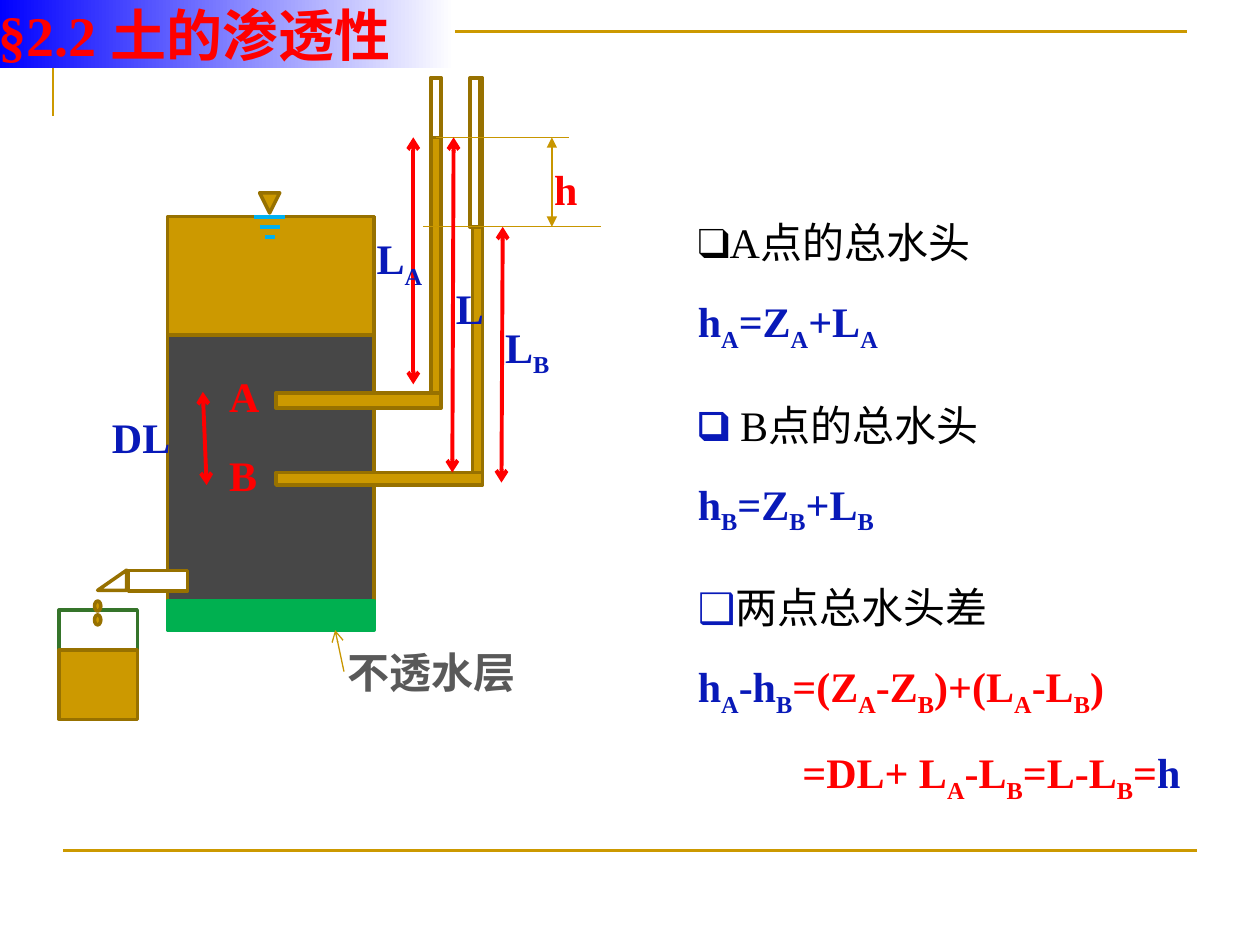
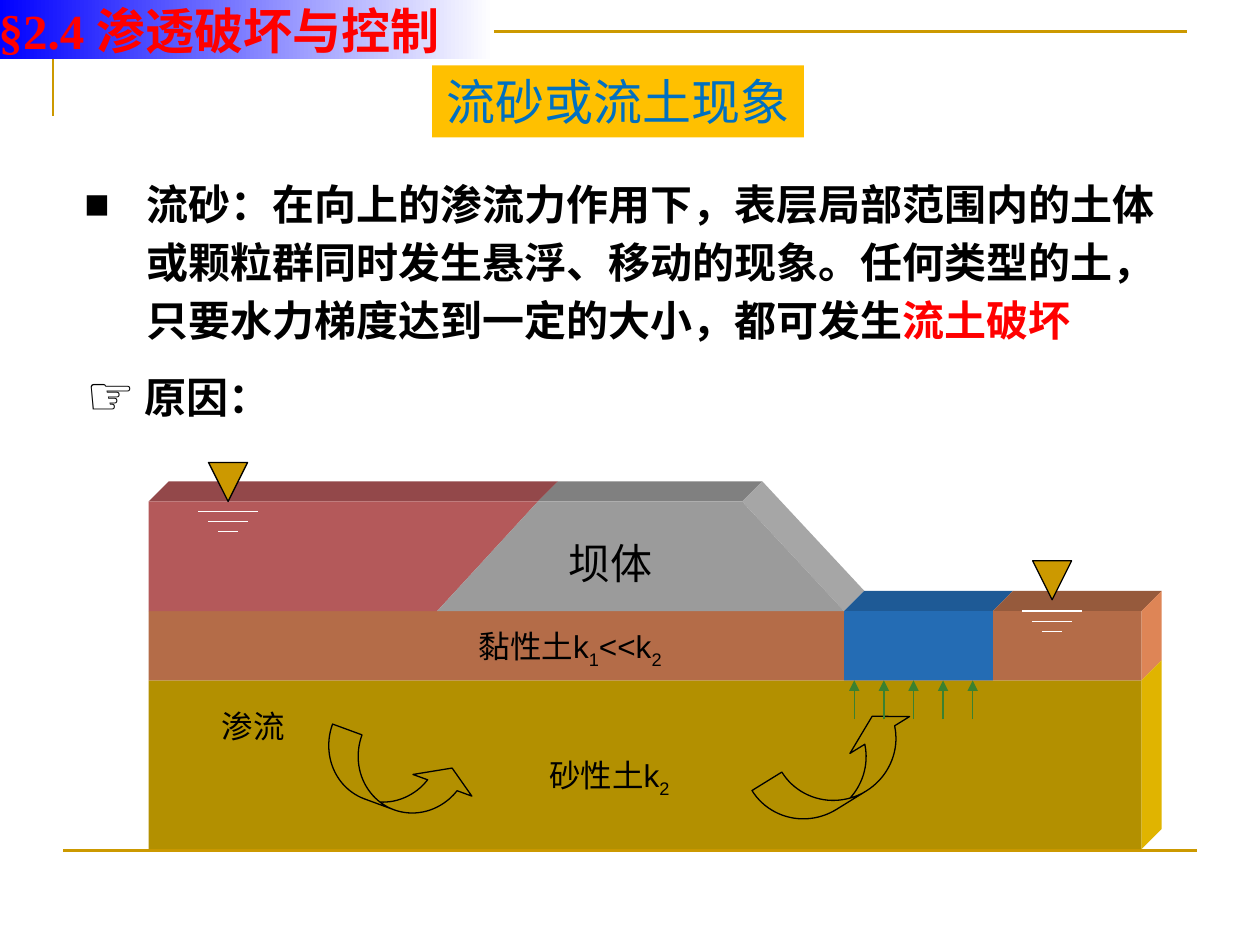
from pptx import Presentation
from pptx.dml.color import RGBColor
from pptx.enum.shapes import MSO_CONNECTOR as CONNECTOR, MSO_SHAPE as SHAPE
from pptx.enum.text import MSO_ANCHOR as ANCHOR, PP_ALIGN as ALIGN
from pptx.oxml.ns import qn
from pptx.util import Inches, Pt
from lxml.etree import SubElement

GOLD = RGBColor(0xCC, 0x99, 0x00)
BROWN = RGBColor(0x97, 0x71, 0x00)
DIM_GOLD = RGBColor(0xC8, 0x96, 0x00)
AMBER = RGBColor(0xFF, 0xC0, 0x00)
RED = RGBColor(0xFF, 0x00, 0x00)
NAVY = RGBColor(0x08, 0x19, 0xB8)
BAND_BLUE = RGBColor(0x00, 0x00, 0xFF)
HEADING_BLUE = RGBColor(0x00, 0x70, 0xC0)
SKY = RGBColor(0x00, 0xB0, 0xF0)
BLACK = RGBColor(0x00, 0x00, 0x00)
WHITE = RGBColor(0xFF, 0xFF, 0xFF)
SOIL = RGBColor(0x47, 0x47, 0x47)
GRAY = RGBColor(0x59, 0x59, 0x59)
GREEN = RGBColor(0x00, 0xB0, 0x50)
CUP_GREEN = RGBColor(0x35, 0x74, 0x2A)
FLOW_GREEN = RGBColor(0x3B, 0x81, 0x2F)
SAND = RGBColor(0xB3, 0x90, 0x00)
SAND_SIDE = RGBColor(0xE0, 0xB4, 0x00)
CLAY = RGBColor(0xB4, 0x6C, 0x48)
CLAY_TOP = RGBColor(0x96, 0x5A, 0x3C)
CLAY_SIDE = RGBColor(0xDE, 0x85, 0x56)
WATER = RGBColor(0xB4, 0x59, 0x5A)
WATER_TOP = RGBColor(0x93, 0x48, 0x4A)
DAM = RGBColor(0x9B, 0x9B, 0x9B)
DAM_TOP = RGBColor(0x80, 0x80, 0x80)
DAM_SLOPE = RGBColor(0xA6, 0xA6, 0xA6)
HEAVE = RGBColor(0x24, 0x6C, 0xB4)
HEAVE_TOP = RGBColor(0x1E, 0x5A, 0x96)

SERIF, SANS, CJK = "Times New Roman", "Arial", "Noto Sans CJK JP"
DEPTH = 0.16


def paint(shape, fill, line, width):
    """Set fill and outline, with None for neither, and drop the shadow."""
    shape.shadow.inherit = False
    if fill is None:
        shape.fill.background()
    else:
        shape.fill.solid()
        shape.fill.fore_color.rgb = fill
    if line is None:
        shape.line.fill.background()
    else:
        shape.line.color.rgb = line
        shape.line.width = Pt(width)


def add_block(slide, box, fill, line=None, kind=SHAPE.RECTANGLE, width=2, turn=0):
    """Add a preset shape in a left, top, width, height box."""
    block = slide.shapes.add_shape(kind, *map(Inches, box))
    paint(block, fill, line, width)
    block.rotation = turn
    return block


def add_outline(slide, points, fill, line=None, width=1.5, close=True):
    """Add a freeform through points given in inches."""
    corners = [(Inches(x), Inches(y)) for x, y in points]
    builder = slide.shapes.build_freeform(*corners[0], scale=1.0)
    builder.add_line_segments(corners[1:], close=close)
    paint(builder.convert_to_shape(), fill, line, width)


def add_line(slide, start, end, color, width=0.75, head=None, tail=None):
    """Add a straight line with optional arrowheads."""
    line = slide.shapes.add_connector(CONNECTOR.STRAIGHT, *map(Inches, (*start, *end)))
    line.line.color.rgb = color
    line.line.width = Pt(width)
    properties = line._element.spPr
    for tag, arrow in (("a:headEnd", head), ("a:tailEnd", tail)):
        if arrow:
            SubElement(properties.find(qn("a:ln")), qn(tag), type=arrow)
    SubElement(properties, qn("a:effectLst"))
    return line


def add_run(paragraph, text, size, font, color, bold, subscript=False):
    """Append one formatted run."""
    run = paragraph.add_run()
    run.text = text
    run.font.size, run.font.name, run.font.bold = Pt(size), font, bold
    run.font.color.rgb = color
    properties = run._r.get_or_add_rPr()
    SubElement(properties, qn("a:ea"), typeface=CJK)
    if subscript:
        properties.set("baseline", "-25000")


def write(paragraph, text, size, font, color, bold=False):
    """Append text in which an underscore lowers the next character."""
    first, *rest = text.split("_")
    if first:
        add_run(paragraph, first, size, font, color, bold)
    for piece in rest:
        add_run(paragraph, piece[0], size, font, color, bold, True)
        if piece[1:]:
            add_run(paragraph, piece[1:], size, font, color, bold)


def add_frame(slide, box, margin=None):
    """Add a wrapping text box and return its text frame."""
    frame = slide.shapes.add_textbox(*map(Inches, box)).text_frame
    frame.word_wrap = True
    if margin is not None:
        set_margins(frame, margin)
    return frame


def set_margins(frame, margin):
    """Give all four sides of a text frame the same margin."""
    frame.margin_left = frame.margin_right = Inches(margin)
    frame.margin_top = frame.margin_bottom = Inches(margin)


def add_label(slide, box, text, color, size=24, font=SERIF, bold=True):
    """Add a one-line label."""
    write(add_frame(slide, box).paragraphs[0], text, size, font, color, bold)


def set_bullet(paragraph, mark, percent=100, indent=0.0):
    """Give a paragraph a bullet and a hanging indent."""
    properties = paragraph._p.get_or_add_pPr()
    properties.set("marL", str(Inches(indent)))
    properties.set("indent", str(-Inches(indent)))
    SubElement(properties, qn("a:buSzPct"), val=str(percent * 1000))
    SubElement(properties, qn("a:buFont"), typeface=SANS)
    SubElement(properties, qn("a:buChar"), char=mark)


def add_base(deck):
    """Add a blank slide with the gold frame lines."""
    slide = deck.slides.add_slide(deck.slide_layouts[6])
    add_outline(slide, [(0.42, 0.92), (0.42, 0.25), (9.42, 0.25)], None, GOLD, close=False)
    add_line(slide, (0.5, 6.75), (9.5, 6.75), GOLD, 1.5)
    return slide


def add_title_band(slide, text, width, height, size):
    """Add the section title on a blue to white band."""
    band = add_block(slide, (-0.01, 0, width, height), BAND_BLUE)
    band.fill.gradient()
    band.fill.gradient_angle = 0
    for stop, color in zip(band.fill.gradient_stops, (BAND_BLUE, WHITE)):
        stop.color.rgb = color
    frame = band.text_frame
    set_margins(frame, 0)
    frame.word_wrap = True
    frame.vertical_anchor = ANCHOR.MIDDLE
    frame.paragraphs[0].alignment = ALIGN.LEFT
    write(frame.paragraphs[0], text, size, SERIF, RED, True)


def add_water_level(slide, center, marker_top, size, edge, ripple_top, half, color, width):
    """Add a water level triangle above three shrinking ripples."""
    box = (center - size / 2, marker_top, size, size)
    add_block(slide, box, GOLD, edge, SHAPE.ISOSCELES_TRIANGLE, min(width, 2), 180)
    for row in range(3):
        reach = half * (3 - row) / 3
        y = ripple_top + 0.08 * row
        add_line(slide, (center - reach, y), (center + reach, y), color, width)


def add_face(slide, start, end, fill):
    """Add the receding face behind one edge of a front surface."""
    back = [(x + DEPTH, y - DEPTH) for x, y in (end, start)]
    add_outline(slide, [start, end, *back], fill)


def add_apparatus(slide):
    """Draw the soil column, its two standpipes and the collecting cup."""
    add_block(slide, (1.33, 1.72, 1.64, 3.05), SOIL, BROWN)
    add_block(slide, (1.33, 1.72, 1.64, 0.94), GOLD, BROWN)
    add_block(slide, (1.33, 4.77, 1.64, 0.23), GREEN, GREEN)
    add_water_level(slide, 2.14, 1.53, 0.16, BROWN, 1.72, 0.12, SKY, 2.25)
    for pipe in ((3.42, 0.62, 0.08, 2.58), (3.75, 0.62, 0.08, 3.2),
                 (2.19, 3.12, 1.31, 0.12), (2.19, 3.75, 1.64, 0.1)):
        add_block(slide, pipe, GOLD, BROWN)
    empty_a = add_block(slide, (3.42, 0.62, 0.08, 0.47), WHITE, BROWN)
    add_block(slide, (3.73, 0.62, 0.08, 1.18), WHITE, BROWN)
    level_a = add_line(slide, (3.46, 1.09), (4.52, 1.09), DIM_GOLD)
    level_a.begin_connect(empty_a, 2)
    add_line(slide, (3.36, 1.8), (4.77, 1.8), DIM_GOLD)
    add_line(slide, (4.38, 1.09), (4.38, 1.8), DIM_GOLD, head="triangle", tail="triangle")
    add_block(slide, (1.02, 4.53, 0.47, 0.16), WHITE, BROWN)
    add_block(slide, (0.47, 4.84, 0.62, 0.86), WHITE, CUP_GREEN)
    add_block(slide, (0.81, 4.49, 0.16, 0.23), WHITE, BROWN, SHAPE.RIGHT_TRIANGLE, turn=270)
    for drop_top in (4.88, 4.77):
        add_block(slide, (0.75, drop_top, 0.05, 0.08), GOLD, BROWN, SHAPE.OVAL)
    add_block(slide, (0.47, 5.16, 0.62, 0.55), GOLD, BROWN)
    add_line(slide, (2.73, 5.33), (2.66, 5), DIM_GOLD, tail="arrow")
    for start, end in (((3.28, 1.09), (3.28, 3.05)), ((3.99, 1.8), (3.98, 3.83)),
                       ((1.61, 3.11), (1.64, 3.85)), ((3.6, 1.09), (3.59, 3.75))):
        add_line(slide, start, end, RED, 2.25, "arrow", "arrow")
    for text, left, top, color in (
            ("h", 4.3, 1.25, RED), ("A", 1.72, 2.89, RED), ("B", 1.72, 3.52, RED),
            ("L_A", 2.89, 1.8, NAVY), ("L_B", 3.91, 2.5, NAVY),
            ("DL", 0.79, 3.22, NAVY), ("L", 3.52, 2.19, NAVY)):
        add_label(slide, (left, top, 1.09, 0.5), text, color)
    add_label(slide, (2.66, 5.08, 2.11, 0.5), "不透水层", GRAY)


def add_head_equations(slide):
    """Write the total heads at A and B and their difference."""
    lines = [
        [("❑A点的总水头", BLACK, False)],
        [("h_A=Z_A+L_A", NAVY, True)],
        [("❑", NAVY, True), (" B点的总水头", BLACK, False)],
        [("h_B=Z_B+L_B", NAVY, True)],
        [("❑", NAVY, False), ("两点总水头差", BLACK, False)],
        [("h_A-h_B", NAVY, True), ("=(Z_A-Z_B)+(L_A-L_B)", RED, True)],
        [("=DL+ L_A-L_B=L-L_B=", RED, True), ("h", NAVY, True)],
    ]
    frame = add_frame(slide, (5.44, 1.47, 4.5, 5.89))
    for number, parts in enumerate(lines):
        paragraph = frame.add_paragraph() if number else frame.paragraphs[0]
        paragraph.line_spacing = 1.5
        if number in (2, 4):
            paragraph.space_before = Pt(12)
        for text, color, bold in parts:
            write(paragraph, text, 24, SERIF, color, bold)
    paragraph._p.get_or_add_pPr().set("marL", str(Inches(0.83)))


def add_definition(slide):
    """Write the heading, the definition of quicksand and the cause line."""
    heading = add_block(slide, (3.43, 0.52, 2.95, 0.57), AMBER).text_frame
    heading.word_wrap = False
    write(heading.paragraphs[0], "流砂或流土现象", 28, SANS, HEADING_BLUE)
    definition = add_frame(slide, (0.67, 1.36, 8.82, 1.38), 0).paragraphs[0]
    definition.line_spacing = 1.15
    set_bullet(definition, "■", indent=0.49)
    write(definition, "流砂：在向上的渗流力作用下，表层局部范围内的土体或颗粒群同时发生悬浮、移动的现象。"
          "任何类型的土，只要水力梯度达到一定的大小，都可发生", 24, CJK, BLACK, True)
    write(definition, "流土破坏", 24, CJK, RED, True)
    cause = add_frame(slide, (0.65, 2.95, 1.53, 0.4), 0).paragraphs[0]
    cause.alignment = ALIGN.CENTER
    set_bullet(cause, "☞", 130)
    write(cause, " 原因：", 24, SANS, BLACK, True)


def add_dam_section(slide):
    """Draw the dam on clay over sand, with the seepage below it."""
    left, right, crest, ground, clay_base, bottom = 1.18, 9.06, 3.98, 4.85, 5.4, 6.74
    crest_left, crest_right, toe, heave_right = 4.27, 5.89, 6.7, 7.88
    for start, end, fill in (
            ((left, crest), (crest_left, crest), WATER_TOP),
            ((crest_left, crest), (crest_right, crest), DAM_TOP),
            ((crest_right, crest), (toe, ground), DAM_SLOPE),
            ((toe, ground), (heave_right, ground), HEAVE_TOP),
            ((heave_right, ground), (right, ground), CLAY_TOP),
            ((right, ground), (right, clay_base), CLAY_SIDE),
            ((right, clay_base), (right, bottom), SAND_SIDE)):
        add_face(slide, start, end, fill)
    add_block(slide, (left, clay_base, right - left, bottom - clay_base), SAND)
    add_block(slide, (left, ground, right - left, clay_base - ground), CLAY)
    add_outline(slide, [(left, ground), (left, crest), (crest_left, crest), (3.47, ground)], WATER)
    add_outline(slide, [(3.47, ground), (crest_left, crest), (crest_right, crest),
                        (toe, ground)], DAM)
    add_block(slide, (toe, ground, heave_right - toe, clay_base - ground), HEAVE)
    for box, turn, bend in (((2.52, 5.95, 1.26, 0.47), 20.2, 0.53),
                            ((5.99, 5.87, 1.4, 0.48), 328.3, 0.58)):
        seepage = add_block(slide, box, None, BLACK, SHAPE.CURVED_UP_ARROW, 0.75, turn)
        for index, value in enumerate((bend, 2 * bend, 0.33)):
            seepage.adjustments[index] = value
    for step in range(5):
        x = 6.78 + 0.235 * step
        add_line(slide, (x, 5.71), (x, clay_base), FLOW_GREEN, tail="triangle")
    add_water_level(slide, 1.81, 3.67, 0.31, BLACK, 4.06, 0.24, WHITE, 0.75)
    add_water_level(slide, 8.35, 4.45, 0.31, BLACK, 4.85, 0.24, WHITE, 0.75)
    for text, box, size in (("坝体", (4.41, 4.22, 1.42, 0.5), 24),
                            ("黏性土k_1<<k_2", (3.7, 4.93, 1.73, 0.4), 18),
                            ("砂性土k_2", (4.26, 5.95, 1.34, 0.4), 18),
                            ("渗流", (1.66, 5.56, 0.71, 0.4), 18)):
        add_label(slide, box, text, BLACK, size, SANS, False)


def main():
    """Build both slides and save the deck."""
    deck = Presentation()
    deck.slide_width, deck.slide_height = Inches(10), Inches(7.5)
    permeability = add_base(deck)
    add_apparatus(permeability)
    add_head_equations(permeability)
    add_title_band(permeability, "§2.2 土的渗透性", 3.62, 0.54, 32)
    failure = add_base(deck)
    add_definition(failure)
    add_dam_section(failure)
    add_title_band(failure, "§2.4 渗透破坏与控制", 3.93, 0.47, 28)
    deck.save("out.pptx")


if __name__ == "__main__":
    main()
